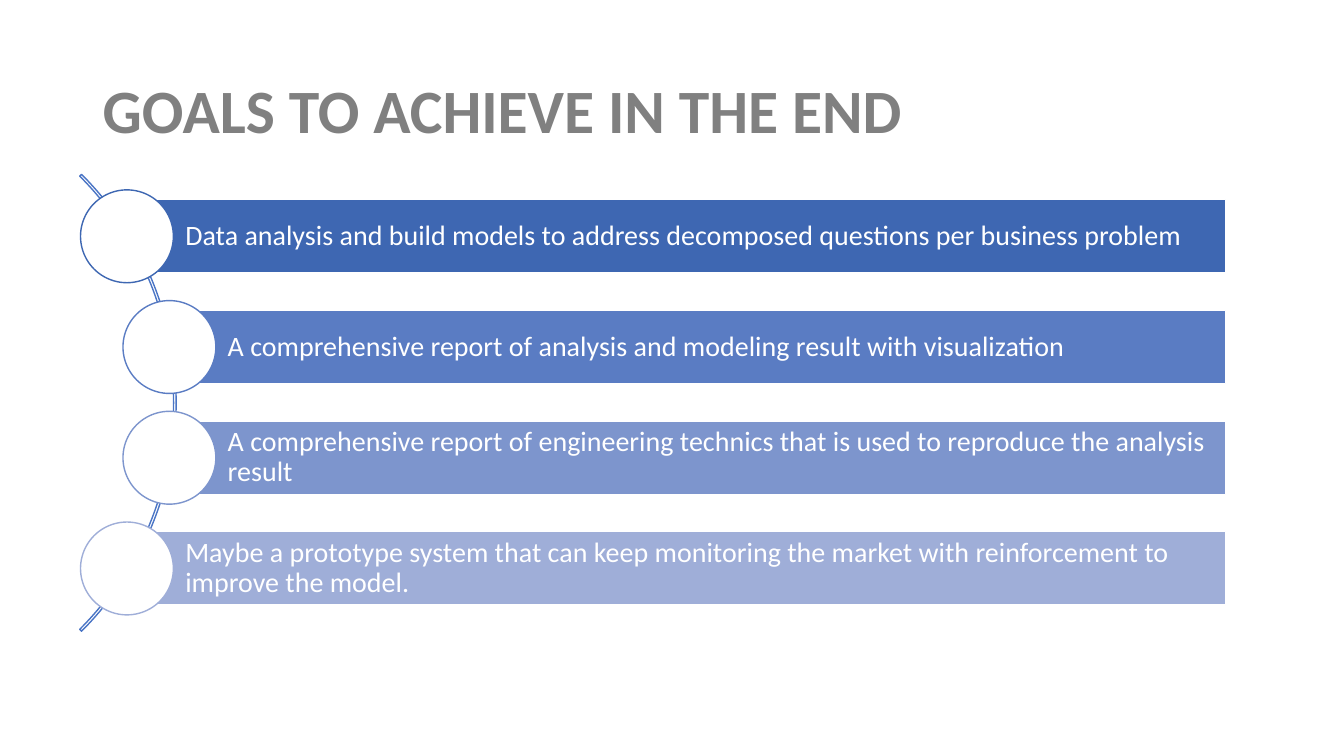
import dataclasses

import pptx
import pptx.dml.color
import pptx.enum.shapes
import pptx.enum.text
import pptx.util

Cm = pptx.util.Cm
Kind = pptx.enum.shapes.MSO_SHAPE


@dataclasses.dataclass(frozen=True)
class Theme:
    font: str = "Calibri"
    white: str = "FFFFFF"
    title: str = "808080"
    arc: str = "4A75C5"
    bars: tuple = ("3E67B2", "5A7CC3", "7D95CD", "9FAED8")
    head: int = 44
    body: int = 20
    line: int = 1


THEME = Theme()
GOALS = (
    "Data analysis and build models to address decomposed questions per business problem",
    "A comprehensive report of analysis and modeling result with visualization",
    "A comprehensive report of engineering technics that is used to reproduce the analysis result",
    "Maybe a prototype system that can keep monitoring the market with reinforcement to improve the model.",
)
LEFTS = (3.2, 4.27, 4.27, 3.2)
RIGHT = 30.89
TOP = 5.03
STEP = 2.79
BAR = 1.85
DISC = 2.34


def color(code):
    return pptx.dml.color.RGBColor.from_string(code)


def add_shape(slide, kind, box, fill, line):
    shape = slide.shapes.add_shape(kind, *(Cm(side) for side in box))
    shape.shadow.inherit = False
    if fill:
        shape.fill.solid()
        shape.fill.fore_color.rgb = color(fill)
    else:
        shape.fill.background()
    shape.line.color.rgb = color(line)
    shape.line.width = pptx.util.Pt(THEME.line)
    return shape


def add_text(shape, text, size, code, bold=False):
    frame = shape.text_frame
    frame.word_wrap = True
    frame.auto_size = pptx.enum.text.MSO_AUTO_SIZE.NONE
    frame.vertical_anchor = pptx.enum.text.MSO_ANCHOR.MIDDLE
    para = frame.paragraphs[0]
    para.alignment = pptx.enum.text.PP_ALIGN.LEFT
    para.line_spacing = 0.9
    run = para.add_run()
    run.text = text
    run.font.name = THEME.font
    run.font.size = pptx.util.Pt(size)
    run.font.bold = bold
    run.font.color.rgb = color(code)


def add_title(slide, text):
    title = slide.shapes.title
    title.left, title.top = Cm(2.33), Cm(1.01)
    title.width, title.height = Cm(29.21), Cm(3.68)
    add_text(title, text, THEME.head, THEME.title, True)


def add_arc(slide):
    arc = add_shape(slide, Kind.BLOCK_ARC, (-11.84, 2.01, 16.28, 16.28), None, THEME.arc)
    for index, value in enumerate((189, 27, 0.004)):
        arc.adjustments[index] = value


def add_goal(slide, text, left, top, code):
    bar = add_shape(slide, Kind.RECTANGLE, (left, top, RIGHT - left, BAR), code, THEME.white)
    frame = bar.text_frame
    frame.margin_left = Cm(1.47)
    frame.margin_top = frame.margin_right = frame.margin_bottom = Cm(0.15)
    add_text(bar, text, THEME.body, THEME.white)
    disc = (left - DISC / 2, top + (BAR - DISC) / 2, DISC, DISC)
    add_shape(slide, Kind.OVAL, disc, THEME.white, code)


def main():
    deck = pptx.Presentation()
    deck.slide_width, deck.slide_height = Cm(33.87), Cm(19.05)
    slide = deck.slides.add_slide(deck.slide_layouts[5])
    add_title(slide, "GOALS TO ACHIEVE IN THE END")
    add_arc(slide)
    for row, (text, left, code) in enumerate(zip(GOALS, LEFTS, THEME.bars)):
        add_goal(slide, text, left, TOP + row * STEP, code)
    deck.save("out.pptx")


if __name__ == "__main__":
    main()
